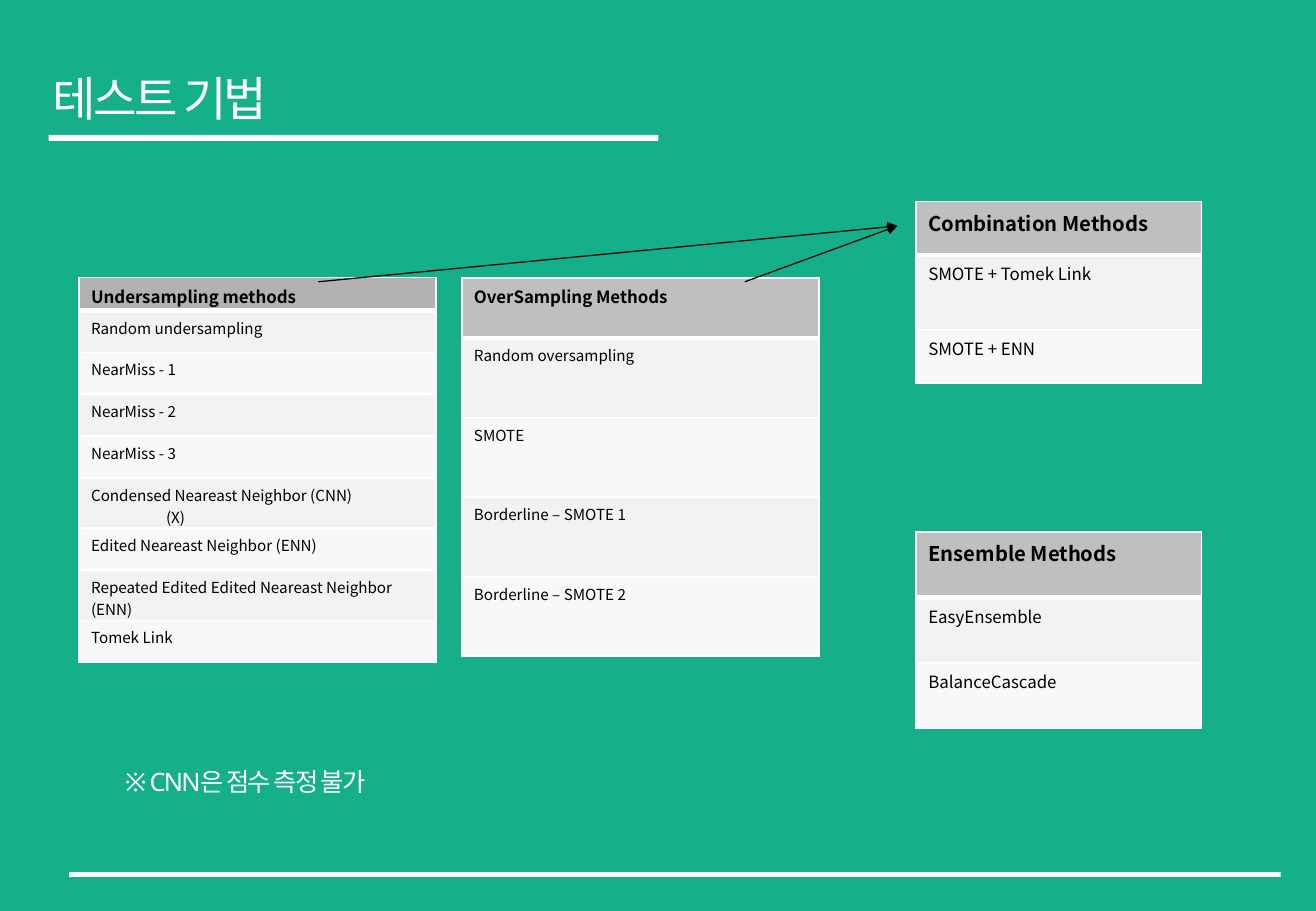
import pptx
import pptx.util
import pptx.dml.color
import pptx.enum.shapes
import pptx.enum.text
import pptx.oxml
import pptx.oxml.ns

COLOURS = {
    "green": "15AF89", "white": "FFFFFF", "black": "000000",
    "dark grey": "B2B2B2", "grey": "BFBFBF",
    "odd row": "F2F2F2", "even row": "F8F8F8",
}
CJK_FONT = "Noto Sans CJK KR"
LATIN_FONT = "Noto Sans"
THIN, THICK = 0.96, 3


def colour(name):
    return pptx.dml.color.RGBColor.from_string(COLOURS[name])


def element(tag, **attributes):
    node = pptx.oxml.parse_xml(f"<{tag} {pptx.oxml.ns.nsdecls('a')}/>")
    for key, value in attributes.items():
        node.set(key, str(value))
    return node


class SlideBuilder:
    """Places elements on a grid of 100 columns by 100 rows."""

    def __init__(self, deck):
        self.deck = deck
        self.page = deck.slides.add_slide(deck.slide_layouts[1])
        self.page.background.fill.solid()
        self.page.background.fill.fore_color.rgb = colour("green")

    def across(self, columns):
        return round(self.deck.slide_width * columns / 100)

    def down(self, rows):
        return round(self.deck.slide_height * rows / 100)

    def area(self, left, top, width, height):
        return self.across(left), self.down(top), self.across(width), self.down(height)

    def add_span(self, para, text, size, tint="black", font=CJK_FONT, bold=False, spacing=0):
        span = para.add_run()
        span.text = text
        span.font.size = pptx.util.Pt(size)
        span.font.name = font
        span.font.bold = bold
        span.font.color.rgb = colour(tint)
        properties = span.font._element
        properties.set("spc", str(round(spacing * 100)))
        properties.find(pptx.oxml.ns.qn("a:latin")).addnext(element("a:ea", typeface=CJK_FONT))

    def fill_placeholder(self, box, area, text, wrap, **style):
        box.left, box.top, box.width, box.height = self.area(*area)
        frame = box.text_frame
        frame.word_wrap = wrap
        frame.auto_size = pptx.enum.text.MSO_AUTO_SIZE.NONE
        frame.vertical_anchor = pptx.enum.text.MSO_ANCHOR.TOP
        para = frame.paragraphs[0]
        para.alignment = pptx.enum.text.PP_ALIGN.LEFT
        para.space_before = pptx.util.Pt(0)
        properties = para._p.get_or_add_pPr()
        properties.set("marL", "0")
        properties.set("indent", "0")
        properties.append(element("a:buNone"))
        self.add_span(para, text, tint="white", **style)

    def add_bar(self, kind, *area):
        bar = self.page.shapes.add_shape(kind, *self.area(*area))
        bar.shadow.inherit = False
        bar.fill.solid()
        bar.fill.fore_color.rgb = colour("white")
        bar.line.fill.background()

    def add_arrow(self, start, end):
        arrow = self.page.shapes.add_connector(
            pptx.enum.shapes.MSO_CONNECTOR.STRAIGHT,
            self.across(start[0]), self.down(start[1]), self.across(end[0]), self.down(end[1]))
        arrow.line.color.rgb = colour("black")
        arrow.line.width = pptx.util.Pt(0.75)
        arrow.line._get_or_add_ln().append(element("a:tailEnd", type="triangle"))
        arrow._element.spPr.append(element("a:effectLst"))

    def set_borders(self, cell, top, bottom):
        widths = {"lnL": THIN, "lnR": THIN, "lnT": top, "lnB": bottom}
        for place, (side, width) in enumerate(widths.items()):
            line = element(f"a:{side}", w=pptx.util.Pt(width))
            fill = element("a:solidFill")
            fill.append(element("a:srgbClr", val=COLOURS["white"]))
            line.append(fill)
            cell._tc.get_or_add_tcPr().insert(place, line)

    def add_method_table(self, left, top, width, heights, entries, size, header="grey"):
        frame = self.page.shapes.add_table(
            len(entries), 1, *self.area(left, top, width, sum(heights)))
        table = frame.table
        for index, (entry, height) in enumerate(zip(entries, heights)):
            table.rows[index].height = self.down(height)
            cell = table.cell(index, 0)
            cell.margin_bottom = 0
            cell.fill.solid()
            band = "odd row" if index % 2 else "even row"
            cell.fill.fore_color.rgb = colour(header if index == 0 else band)
            self.set_borders(cell, THICK if index == 1 else THIN, THICK if index == 0 else THIN)
            for number, text in enumerate(entry.split("\n")):
                para = cell.text_frame.paragraphs[0] if number == 0 else cell.text_frame.add_paragraph()
                if number:
                    para._p.get_or_add_pPr().set("marL", str(self.across(5.7)))
                self.add_span(para, text, size[0] if index == 0 else size[1], bold=index == 0)


def main():
    deck = pptx.Presentation()
    deck.slide_width = pptx.util.Inches(10.83)
    deck.slide_height = pptx.util.Inches(7.5)
    builder = SlideBuilder(deck)
    shapes = pptx.enum.shapes.MSO_SHAPE
    title, note = builder.page.placeholders

    # Title and its rule
    builder.fill_placeholder(title, (3.05, 6.93, 21.14, 7.6), "테스트 기법",
                             wrap=False, size=28, spacing=-1.5)
    builder.add_bar(shapes.ROUNDED_RECTANGLE, 3.69, 14.8, 46.35, 0.67)

    # Sampling methods
    builder.add_method_table(
        6, 30.47, 27.15, [3.6] + [4.6] * 4 + [5.33, 4.6, 5.33, 4.6],
        ["Undersampling methods", "Random undersampling",
         "NearMiss - 1", "NearMiss - 2", "NearMiss - 3",
         "Condensed Neareast Neighbor (CNN)\n(X)", "Edited Neareast Neighbor (ENN)",
         "Repeated Edited Edited Neareast Neighbor (ENN)", "Tomek Link"],
        size=(10, 9), header="dark grey")
    builder.add_method_table(
        35.09, 30.53, 27.15, [6.6] + [8.72] * 4,
        ["OverSampling Methods", "Random oversampling", "SMOTE",
         "Borderline – SMOTE 1", "Borderline – SMOTE 2"], size=(10, 9))

    # Combined and ensemble methods
    builder.add_method_table(
        69.62, 22.13, 21.7, [5.87, 8.2, 5.87],
        ["Combination Methods", "SMOTE + Tomek Link", "SMOTE + ENN"], size=(12, 10))
    builder.add_method_table(
        69.62, 58.4, 21.7, [7.2] * 3,
        ["Ensemble Methods", "EasyEnsemble", "BalanceCascade"], size=(12, 10))

    # Arrows from both sampling tables to the combination
    for start in (24.19, 56.6):
        builder.add_arrow((start, 30.93), (68.2, 24.8))

    # Footer rule and note
    builder.add_bar(shapes.RECTANGLE, 5.26, 95.73, 92.06, 0.53)
    builder.fill_placeholder(note, (8.59, 83.47, 37, 5.33), "※ CNN은 점수 측정 불가",
                             wrap=True, size=15, font=LATIN_FONT, spacing=-1)

    deck.save("out.pptx")


if __name__ == "__main__":
    main()
